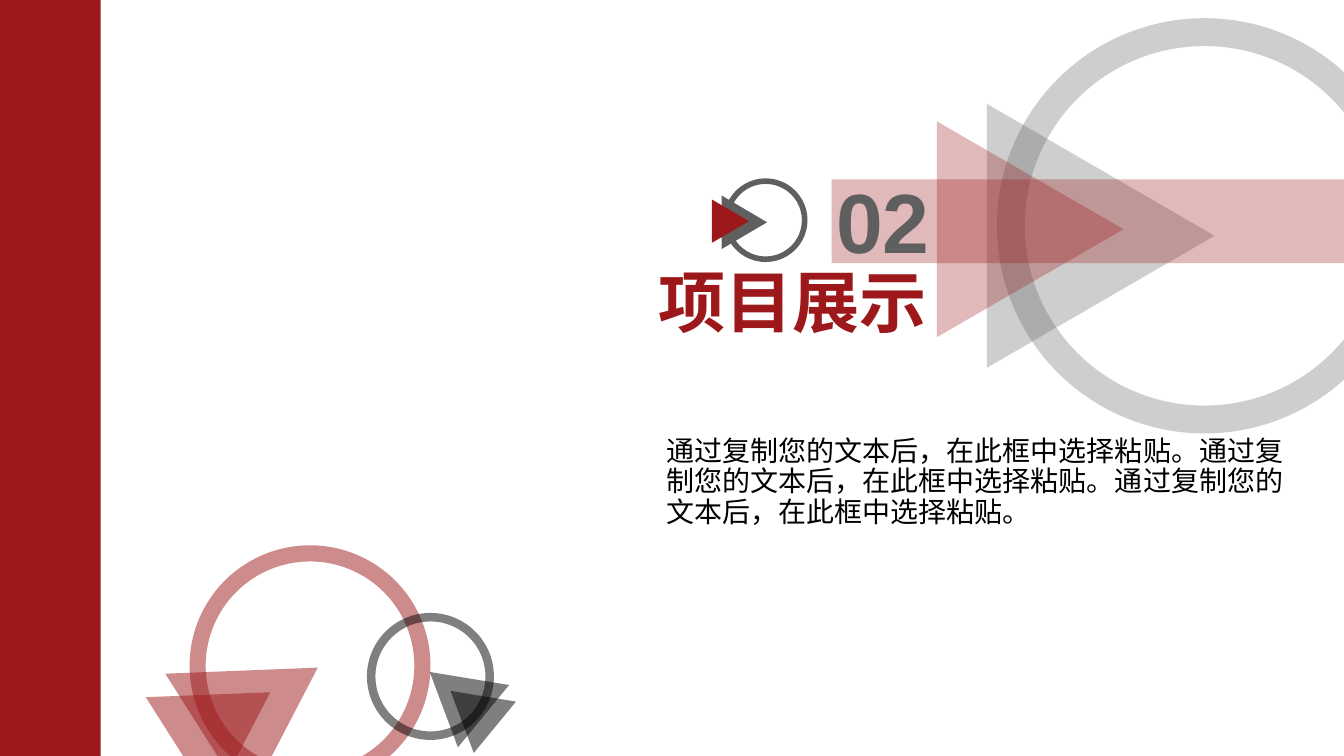
from pptx import Presentation
from pptx.dml.color import RGBColor as RGB
from pptx.enum.shapes import MSO_SHAPE as Kind
from pptx.enum.text import MSO_ANCHOR as Anchor, PP_ALIGN as Align
from pptx.oxml.ns import qn
from pptx.util import Pt
from lxml.etree import SubElement

# Content
COLORS = {"red": "9D181B", "gray": "5F5F5F", "black": "000000"}
FONT = "Arial"
TITLE = "项目展示"
NUMBER = "02"
BODY = "通过复制您的文本后，在此框中选择粘贴。" * 3

# Each emblem: ring box and turn, then two triangles, each with a colour; opacity in percent
# Boxes are left, top, width, height in points
EMBLEMS = [
    (100, 0, [((517, 127.4, 59.8, 59.8), "gray"),
              ((512.6, 142.6, 38.2, 32.4), "gray"),
              ((506.2, 144.7, 31, 26.6), "red")]),
    (30, 0, [((712.1, 13, 296.6, 296.6), "gray"),
             ((691.9, 87.1, 188.6, 162.7), "gray"),
             ((658.8, 97.2, 154.1, 133.2), "red")]),
    (50, 327.6, [((135.4, 389.5, 172.1, 172.1), "red"),
                 ((132.5, 455, 109.4, 94.3), "red"),
                 ((115.9, 476.6, 89.3, 77), "red")]),
    (50, 219.4, [((262.1, 437.8, 90.7, 90.7), "black"),
                 ((297.4, 470.9, 57.6, 49.7), "black"),
                 ((313.9, 486, 47.5, 41), "black")]),
]

deck = Presentation()
deck.slide_width, deck.slide_height = Pt(960), Pt(540)
slide = deck.slides.add_slide(deck.slide_layouts[1])


def place(item, box):
    item.left, item.top, item.width, item.height = map(Pt, box)


def draw(kind, box, color, alpha=100, turn=0):
    item = slide.shapes.add_shape(kind, *map(Pt, box))
    item.shadow.inherit = False
    item.line.fill.background()
    item.fill.solid()
    item.fill.fore_color.rgb = RGB.from_string(COLORS[color])
    if alpha < 100:
        tone = item.fill._xPr.find(".//" + qn("a:srgbClr"))
        SubElement(tone, qn("a:alpha"), val=str(alpha * 1000))
    item.rotation = turn
    return item


def write(item, text, size, color, align, bold=False, space=1.0):
    frame = item.text_frame
    frame.word_wrap = True
    frame.vertical_anchor = Anchor.TOP
    frame.text = text
    para = frame.paragraphs[0]
    para.alignment, para.line_spacing = align, space
    para.space_before = Pt(0)
    font = para.font
    font.name, font.size, font.bold = FONT, Pt(size), bold
    font.color.rgb = RGB.from_string(COLORS[color])
    return para


# Side band
draw(Kind.RECTANGLE, (0, 0, 72, 540), "red")

# Emblems: a ring with two triangles a quarter turn ahead
for alpha, turn, (ring, *wedges) in EMBLEMS:
    draw(Kind.DONUT, *ring, alpha, turn).adjustments[0] = 0.067
    for box, color in wedges:
        draw(Kind.ISOSCELES_TRIANGLE, box, color, alpha, (turn + 90) % 360)

# Number on its band
draw(Kind.RECTANGLE, (594, 128.2, 366, 59.8), "red", 30)
label = slide.shapes.add_textbox(*map(Pt, (589.7, 117.4, 81.4, 79.9)))
write(label, NUMBER, 60, "gray", Align.RIGHT, True)

# Title and body
title, body = slide.placeholders
place(title, (457.2, 188.6, 218.2, 46.1))
write(title, TITLE, 48, "red", Align.CENTER, True, 0.9)
place(body, (468.7, 308.9, 456.5, 77.8))
para = write(body, BODY, 20, "black", Align.LEFT, space=0.9)
props = para._p.get_or_add_pPr()
props.set("marL", "0")
props.set("indent", "0")
props.insert_element_before(props.makeelement(qn("a:buNone")), "a:tabLst", "a:defRPr")

deck.save("out.pptx")
